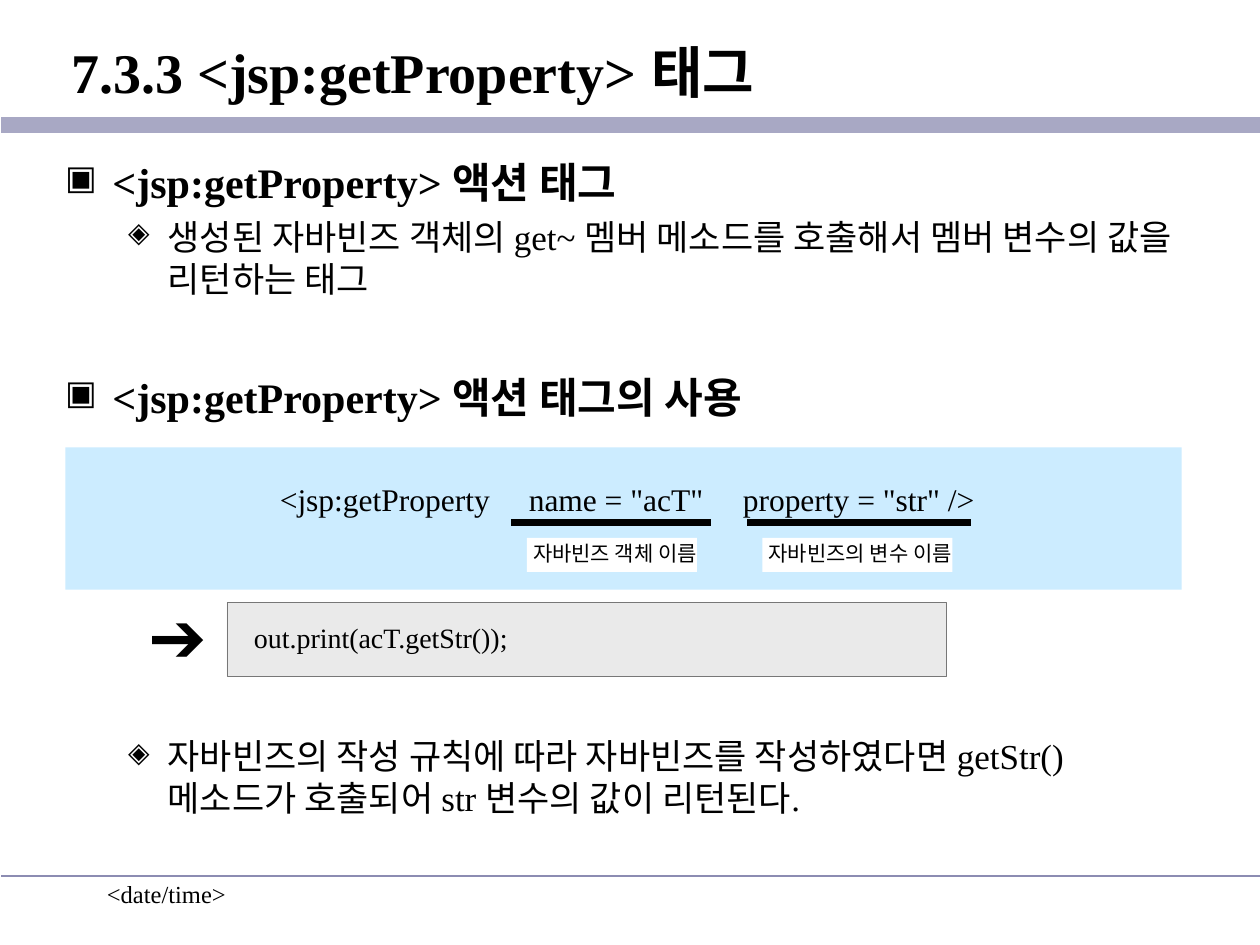
"""Build the slide that explains the <jsp:getProperty> action tag."""
from dataclasses import dataclass

import lxml.etree
import pptx
import pptx.dml.color
import pptx.enum.shapes
import pptx.enum.text
import pptx.oxml.ns
import pptx.slide
import pptx.text.text
import pptx.util

Pt = pptx.util.Pt
Anchor = pptx.enum.text.MSO_ANCHOR
BLACK = "000000"


@dataclass(frozen=True)
class Box:
    left: float
    top: float
    width: float
    height: float
    text: str
    size: float
    font: str = "Times New Roman"
    bold: bool = False
    fill: str | None = None
    border: str | None = None
    middle: bool = False
    wrap: bool = True
    insets: tuple[float, float, float, float] = (3.6, 3.6, 0, 3.6)
    line_spacing: float = 0.85
    tabs: tuple[float, ...] = ()


@dataclass(frozen=True)
class Rule:
    left: float
    right: float
    y: float
    color: str
    weight: float


@dataclass(frozen=True)
class Level:
    bullet: str
    margin: float
    hanging: float
    size: float
    bold: bool


@dataclass(frozen=True)
class Point:
    text: str
    level: Level
    space_before: float


HEADING = Level("▣", 27, 27, 24, True)
DETAIL = Level("◈", 58.5, 22.5, 20, False)
PAGE_INSETS = (7.2, 3.6, 7.2, 3.6)

RULES = [
    Rule(0.7, 720, 71.3, "A8A8C4", 9.25),
    Rule(0.7, 720, 500.4, "8C8CB2", 1),
]
UNDERLINES = [
    Rule(292.3, 406.1, 298.6, BLACK, 4.5),
    Rule(427, 555.1, 298.6, BLACK, 4.5),
]
PAGE_TEXTS = [
    Box(54, 499, 149.8, 36, "<date/time>", 14, insets=PAGE_INSETS, line_spacing=1),
    Box(0.7, 8, 719.3, 64.8, "7.3.3 <jsp:getProperty> 태그", 32, bold=True,
        middle=True, insets=(40, 3.6, 7.2, 3.6), line_spacing=1),
]
OUTLINE = Box(30.2, 85.7, 659.5, 411, "", 24, insets=PAGE_INSETS)
POINTS = [
    Point("<jsp:getProperty> 액션 태그", HEADING, 0),
    Point("생성된 자바빈즈 객체의 get~ 멤버 메소드를 호출해서 멤버 변수의 값을 리턴하는 태그",
          DETAIL, 5),
    Point("<jsp:getProperty> 액션 태그의 사용", HEADING, 41),
    Point("자바빈즈의 작성 규칙에 따라 자바빈즈를 작성하였다면 getStr() 메소드가 호출되어 "
          "str 변수의 값이 리턴된다.", DETAIL, 179),
]
USAGE = Box(37.4, 255.6, 637.9, 81.4,
            '<jsp:getProperty\tname = "acT"\tproperty = "str" />', 18,
            fill="CCECFF", middle=True, insets=(122.5, 3.6, 0, 23),
            tabs=(142.3, 264.6))
EXPLANATIONS = [
    Box(301, 307.4, 97.2, 19.4, "자바빈즈 객체 이름", 12, fill="FFFFFF", wrap=False),
    Box(435.6, 307.4, 108.7, 19.4, "자바빈즈의 변수 이름", 12, fill="FFFFFF", wrap=False),
    Box(129.6, 344.2, 411.1, 42.5, "out.print(acT.getStr());", 16, fill="EAEAEA",
        border="777777", middle=True, insets=(15.5, 3.6, 0, 3.6)),
    Box(81.4, 342.7, 43.9, 48.2, "➔", 40, font="Arial", wrap=False),
]


def rgb(color: str) -> pptx.dml.color.RGBColor:
    """Turn a hex string into a colour."""
    return pptx.dml.color.RGBColor.from_string(color)


def add_element(parent: lxml.etree._Element, tag: str,
                **attributes: str) -> lxml.etree._Element:
    """Append a DrawingML element to its parent."""
    return lxml.etree.SubElement(parent, pptx.oxml.ns.qn(tag), attributes)


def format_runs(paragraph: pptx.text.text._Paragraph, size: float, bold: bool,
                font: str) -> None:
    """Give every run of a paragraph its font."""
    for run in paragraph.runs:
        run.font.name = font
        run.font.size = Pt(size)
        run.font.bold = bold
        run.font.color.rgb = rgb(BLACK)


def draw_box(slide: pptx.slide.Slide, box: Box) -> pptx.text.text.TextFrame:
    """Draw a filled panel or a plain text box and return its text frame."""
    frame = tuple(Pt(length) for length in (box.left, box.top, box.width, box.height))
    if box.fill:
        panel = slide.shapes.add_shape(pptx.enum.shapes.MSO_SHAPE.RECTANGLE, *frame)
        panel.shadow.inherit = False
        panel.fill.solid()
        panel.fill.fore_color.rgb = rgb(box.fill)
        if box.border:
            panel.line.color.rgb = rgb(box.border)
            panel.line.width = Pt(0.25)
        else:
            panel.line.fill.background()
    else:
        panel = slide.shapes.add_textbox(*frame)
    content = panel.text_frame
    content.word_wrap = box.wrap
    content.vertical_anchor = Anchor.MIDDLE if box.middle else Anchor.TOP
    (content.margin_left, content.margin_top,
     content.margin_right, content.margin_bottom) = map(Pt, box.insets)
    content.text = box.text
    wording = content.paragraphs[0]
    wording.alignment = pptx.enum.text.PP_ALIGN.LEFT
    wording.line_spacing = box.line_spacing
    if box.tabs:
        stops = add_element(wording._p.get_or_add_pPr(), "a:tabLst")
        for position in box.tabs:
            add_element(stops, "a:tab", pos=str(Pt(position)), algn="l")
    format_runs(wording, box.size, box.bold, box.font)
    return content


def draw_rule(slide: pptx.slide.Slide, rule: Rule) -> None:
    """Draw a horizontal line."""
    stroke = slide.shapes.add_connector(
        pptx.enum.shapes.MSO_CONNECTOR.STRAIGHT,
        Pt(rule.left), Pt(rule.y), Pt(rule.right), Pt(rule.y))
    stroke.line.color.rgb = rgb(rule.color)
    stroke.line.width = Pt(rule.weight)
    add_element(stroke._element.spPr, "a:effectLst")


def draw_outline(slide: pptx.slide.Slide, box: Box, points: list[Point]) -> None:
    """Write the bulleted points into one text box."""
    content = draw_box(slide, box)
    for index, point in enumerate(points):
        entry = content.add_paragraph() if index else content.paragraphs[0]
        level = point.level
        entry.text = point.text
        entry.line_spacing = 1.0
        entry.space_before = Pt(point.space_before)
        properties = entry._p.get_or_add_pPr()
        properties.set("marL", str(Pt(level.margin)))
        properties.set("indent", str(-Pt(level.hanging)))
        add_element(add_element(properties, "a:buClr"), "a:srgbClr", val=BLACK)
        add_element(properties, "a:buSzPct", val="80000")
        add_element(properties, "a:buChar", char=level.bullet)
        format_runs(entry, level.size, level.bold, box.font)


def main() -> None:
    """Assemble and save the slide."""
    deck = pptx.Presentation()
    deck.slide_width, deck.slide_height = Pt(720), Pt(540)
    slide = deck.slides.add_slide(deck.slide_layouts[6])
    for rule in RULES:
        draw_rule(slide, rule)
    for box in PAGE_TEXTS:
        draw_box(slide, box)
    draw_outline(slide, OUTLINE, POINTS)
    draw_box(slide, USAGE)
    for underline in UNDERLINES:
        draw_rule(slide, underline)
    for box in EXPLANATIONS:
        draw_box(slide, box)
    deck.save("out.pptx")


if __name__ == "__main__":
    main()
